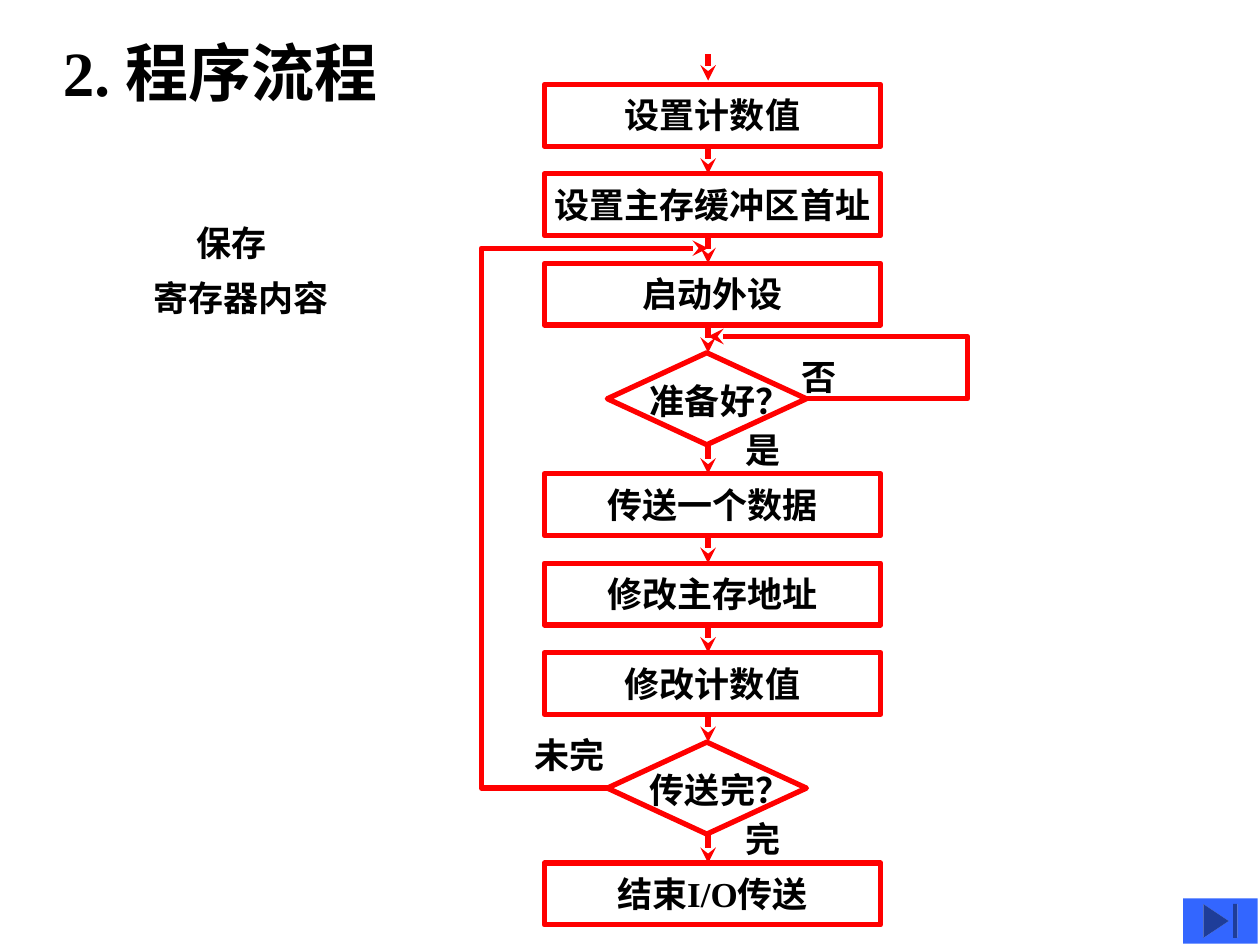
from itertools import pairwise

from lxml.etree import SubElement
from pptx import Presentation
from pptx.dml.color import RGBColor
from pptx.enum.shapes import MSO_CONNECTOR, MSO_SHAPE
from pptx.enum.text import MSO_ANCHOR, MSO_AUTO_SIZE, PP_ALIGN
from pptx.oxml.ns import qn
from pptx.util import Inches, Pt

COLORS = {"line": "FF0000", "text": "000000", "button": "3366FF"}
FONT = "Times New Roman"
BOX_H, DIAMOND_H = 0.49, 0.73
STEP, CYCLE = 0.71, 3.09


def rgb(name):
    return RGBColor.from_string(COLORS[name])


def style_text(tf, size):
    for p in tf.paragraphs:
        for r in p.runs:
            r.font.size = Pt(size)
            r.font.name = FONT
            r.font.bold = True
            r.font.color.rgb = rgb("text")


def style_line(sp, arrow=False):
    sp.line.color.rgb = rgb("line")
    sp.line.width = Pt(3)
    if arrow:
        SubElement(sp.line._get_or_add_ln(), qn("a:tailEnd"), type="stealth")


def add_text(s, x, y, w, h, text, size=20, wrap=False):
    tf = s.shapes.add_textbox(Inches(x), Inches(y), Inches(w), Inches(h)).text_frame
    tf.text = text
    tf.word_wrap = wrap
    tf.auto_size = MSO_AUTO_SIZE.SHAPE_TO_FIT_TEXT
    style_text(tf, size)
    return tf


def add_outline(s, kind, x, y, w, h):
    sp = s.shapes.add_shape(kind, Inches(x), Inches(y), Inches(w), Inches(h))
    sp.shadow.inherit = False
    sp.fill.background()
    style_line(sp)
    return sp


def add_step(s, x, y, w, text):
    sp = add_outline(s, MSO_SHAPE.RECTANGLE, x, y, w, BOX_H)
    tf = sp.text_frame
    tf.text = text
    tf.word_wrap = False
    tf.vertical_anchor = MSO_ANCHOR.MIDDLE
    tf.margin_top = Inches(0.04)
    tf.paragraphs[0].alignment = PP_ALIGN.CENTER
    style_text(tf, 20)


def add_decision(s, x, y, w, text, yes):
    add_text(s, x + 0.24, y + 0.16, 1.31, 0.43, text)
    add_outline(s, MSO_SHAPE.DIAMOND, x, y, w, DIAMOND_H)
    add_text(s, x + 1, y + 0.55, 0.48, 0.43, yes)


def add_arrow(s, x, y1, y2):
    c = s.shapes.add_connector(
        MSO_CONNECTOR.STRAIGHT, Inches(x), Inches(y1), Inches(x), Inches(y2)
    )
    style_line(c, arrow=True)
    SubElement(c._element.spPr, qn("a:effectLst"))


def add_loop(s, points):
    start, *rest = [(Inches(x), Inches(y)) for x, y in points]
    fb = s.shapes.build_freeform(*start)
    fb.add_line_segments(rest, close=False)
    sp = fb.convert_to_shape()
    sp.shadow.inherit = False
    sp.fill.background()
    style_line(sp, arrow=True)


def add_heading(s, x, y, w):
    add_text(s, x, y, w, 0.7, "2. 程序流程", 36, wrap=True)


def add_note(s, x, y, w, h):
    tf = add_text(s, x, y, w, h, "保存\n寄存器内容", wrap=True)
    for p, indent in zip(tf.paragraphs, (0.53, 0.19)):
        p.line_spacing = 1.3
        p._p.get_or_add_pPr().set("marL", str(Inches(indent)))


def add_flowchart(s, x, y, w):
    axis = x + 1.3
    diamond_x, diamond_w = x + 0.5, 1.58
    groups = [
        ["设置计数值", "设置主存缓冲区首址", "启动外设"],
        ["传送一个数据", "修改主存地址", "修改计数值"],
        ["结束I/O传送"],
    ]
    decisions = [("准备好？", "是"), ("传送完？", "完")]
    spans = []
    for i, group in enumerate(groups):
        for j, text in enumerate(group):
            top = y + i * CYCLE + j * STEP
            add_step(s, x, top, w, text)
            spans.append((top, top + BOX_H))
    for i, (text, yes) in enumerate(decisions):
        top = y + i * CYCLE + 3 * STEP
        add_decision(s, diamond_x, top, diamond_w, text, yes)
        spans.append((top, top + DIAMOND_H))
    add_arrow(s, axis, y - 0.24, y - 0.03)
    for (_, bottom), (top, _) in pairwise(sorted(spans)):
        add_arrow(s, axis, bottom, top)

    ready_y = y + 3 * STEP + DIAMOND_H / 2
    done_y = ready_y + CYCLE
    back_x, wait_x = x - 0.5, x + 3.36
    restart_y, poll_y = y + 1.3, y + 2
    add_loop(s, [(diamond_x, done_y), (back_x, done_y),
                 (back_x, restart_y), (axis, restart_y)])
    add_loop(s, [(diamond_x + diamond_w, ready_y), (wait_x, ready_y),
                 (wait_x, poll_y), (axis, poll_y)])
    add_text(s, x - 0.18, done_y - 0.48, 0.76, 0.43, "未完")
    add_text(s, x + 1.94, ready_y - 0.39, 0.48, 0.43, "否")


def add_end_button(s, x, y, w, h):
    sp = s.shapes.add_shape(
        MSO_SHAPE.ACTION_BUTTON_END, Inches(x), Inches(y), Inches(w), Inches(h)
    )
    sp.shadow.inherit = False
    sp.fill.solid()
    sp.fill.fore_color.rgb = rgb("button")
    sp.line.fill.background()


def main():
    prs = Presentation()
    prs.slide_width, prs.slide_height = Inches(10), Inches(7.5)
    s = prs.slides.add_slide(prs.slide_layouts[6])
    add_heading(s, 0.4, 0.22, 2.7)
    add_flowchart(s, 4.32, 0.67, 2.67)
    add_note(s, 0.93, 1.61, 2.18, 1.05)
    add_end_button(s, 9.39, 7.13, 0.59, 0.36)
    prs.save("out.pptx")


if __name__ == "__main__":
    main()
